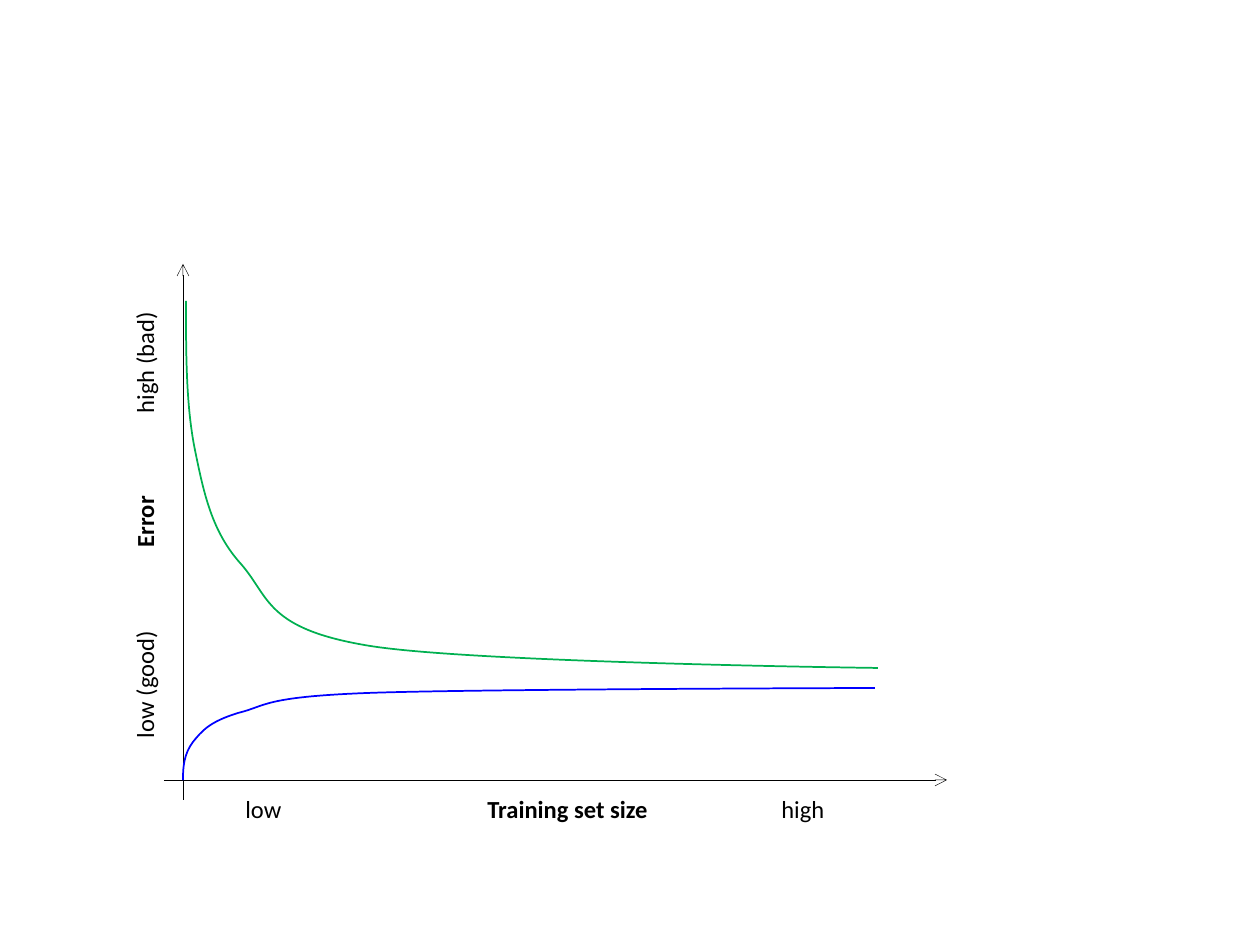
from dataclasses import dataclass

from lxml.etree import SubElement
from pptx import Presentation
from pptx.dml.color import RGBColor
from pptx.enum.shapes import MSO_CONNECTOR
from pptx.enum.text import MSO_AUTO_SIZE
from pptx.oxml.ns import qn
from pptx.util import Pt

PX = 914400 / 126  # EMU in one px


@dataclass(frozen=True)
class Theme:
    font: str = "Calibri"
    label_size: int = 14
    ink: str = "000000"
    training: str = "0000FF"
    validation: str = "00B050"
    axis_width: float = 0.25
    curve_width: float = 1


def emu(px):
    return round(px * PX)


class Canvas:
    def __init__(self, slide, theme):
        self.slide = slide
        self.theme = theme

    def stroke(self, line, color, width):
        line.color.rgb = RGBColor.from_string(color)
        line.width = Pt(width)

    def axis(self, start, end):
        axis = self.slide.shapes.add_connector(
            MSO_CONNECTOR.STRAIGHT, *map(emu, (*start, *end)))
        self.stroke(axis.line, self.theme.ink, self.theme.axis_width)
        SubElement(axis.line._get_or_add_ln(), qn("a:tailEnd"), type="arrow")
        SubElement(axis._element.spPr, qn("a:effectLst"))

    def axis_label(self, box, low, title, high, tabs, rotation=0):
        """Write low end, bold title and high end on one line with tab stops."""
        label = self.slide.shapes.add_textbox(*map(emu, box))
        label.rotation = rotation
        frame = label.text_frame
        frame.word_wrap = True
        frame.auto_size = MSO_AUTO_SIZE.SHAPE_TO_FIT_TEXT
        frame.margin_right = 0
        paragraph = frame.paragraphs[0]
        tab_list = SubElement(paragraph._p.get_or_add_pPr(), qn("a:tabLst"))
        for tab in tabs:
            SubElement(tab_list, qn("a:tab"), pos=str(emu(tab)), algn="l")
        paragraph.font.name = self.theme.font
        paragraph.font.size = Pt(self.theme.label_size)
        paragraph.font.color.rgb = RGBColor.from_string(self.theme.ink)
        for text, bold in ((low + "\t", False), (title + "\t", True), (high, False)):
            run = paragraph.add_run()
            run.text = text
            run.font.bold = bold

    def curve(self, points, color):
        """Draw cubic segments: a start, then two handles and an end for each."""
        start, *rest = points
        builder = self.slide.shapes.build_freeform(*start, scale=PX)
        builder.add_line_segments(rest, close=False)
        curve = builder.convert_to_shape()
        outline = curve._element.spPr.find(".//" + qn("a:path"))
        vertices = outline.findall(qn("a:lnTo"))
        for first in range(0, len(vertices), 3):
            segment = SubElement(outline, qn("a:cubicBezTo"))
            for vertex in vertices[first:first + 3]:
                segment.append(vertex[0])
                outline.remove(vertex)
        curve.shadow.inherit = False
        curve.fill.background()
        self.stroke(curve.line, color, self.theme.curve_width)


def main():
    deck = Presentation()
    deck.slide_width, deck.slide_height = emu(1260), emu(945)
    theme = Theme()
    canvas = Canvas(deck.slides.add_slide(deck.slide_layouts[6]), theme)

    # Axes
    canvas.axis((164, 780), (947, 780))
    canvas.axis((183, 800), (183, 264))

    # Axis labels
    canvas.axis_label((233, 788, 604, 43), "low", "Training set size", "high",
                      tabs=(242, 536))
    canvas.axis_label((-81, 503, 452, 43), "low (good)", "Error", "high (bad)",
                      tabs=(191, 325), rotation=270)

    # Training error rises to its plateau
    training_error = [
        (183, 780), (183, 767), (184, 754), (193, 742),
        (202, 731), (209, 722), (238, 713),
        (267, 706), (262, 697), (368, 693),
        (474, 689), (875, 688), (875, 688)]
    canvas.curve(training_error, theme.training)

    # Validation error falls towards it
    validation_error = [
        (186, 301), (186, 353), (186, 406), (195, 450),
        (204, 494), (212, 532), (241, 564),
        (270, 597), (265, 629), (370, 646),
        (476, 663), (878, 668), (878, 668)]
    canvas.curve(validation_error, theme.validation)

    deck.save("out.pptx")


if __name__ == "__main__":
    main()
